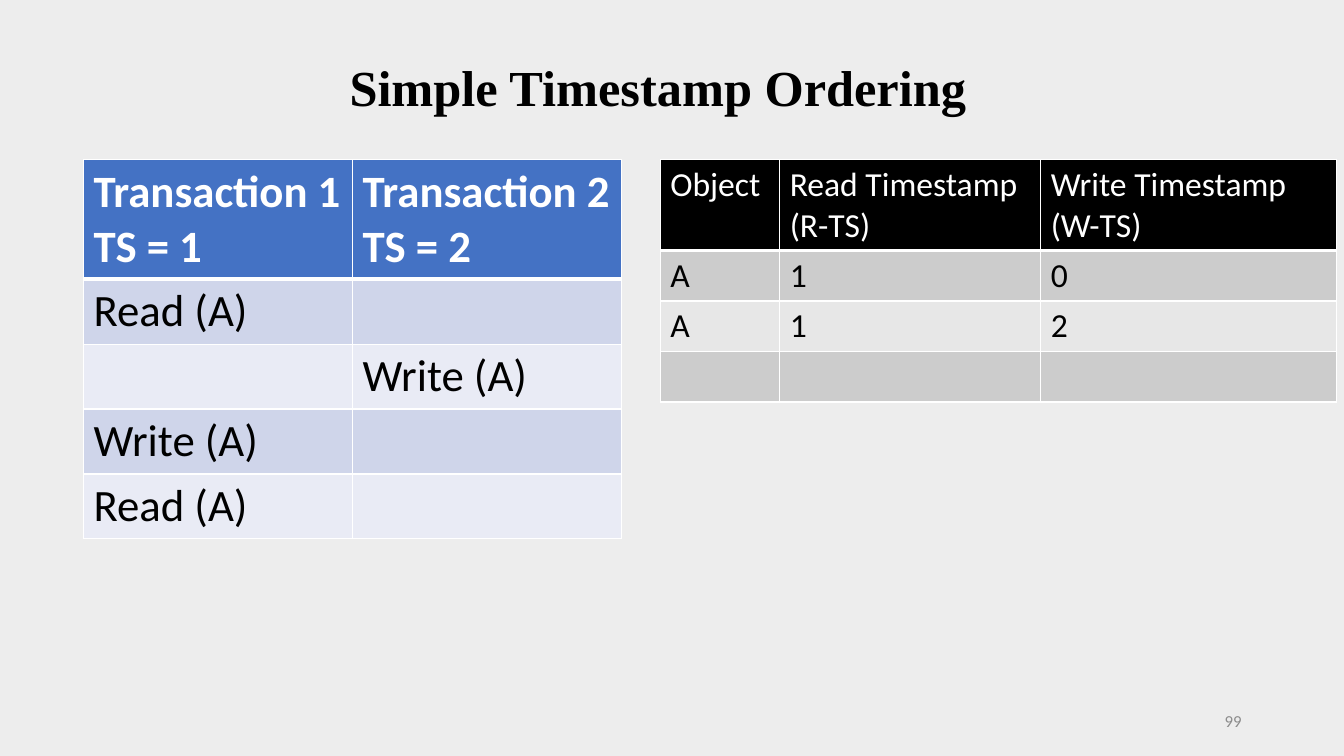
from dataclasses import dataclass

from lxml.etree import SubElement
from pptx import Presentation
from pptx.dml.color import RGBColor
from pptx.enum.text import MSO_ANCHOR, PP_ALIGN
from pptx.oxml.ns import qn
from pptx.util import Pt


@dataclass(frozen=True)
class Theme:
    background: str = "EDEDED"
    black: str = "000000"
    white: str = "FFFFFF"
    muted: str = "8C8C8C"
    schedule_fills: tuple = ("4472C4", "CFD5EA", "E9EBF5")
    timestamp_fills: tuple = ("000000", "CCCCCC", "E7E7E7")
    title_font: str = "Times New Roman"
    body_font: str = "Calibri"
    title_size: int = 36
    schedule_size: int = 32
    timestamp_size: int = 24
    number_size: int = 12


THEME = Theme()

SCHEDULE = [
    ("Transaction 1\nTS = 1", "Transaction 2\nTS = 2"),
    ("Read (A)", ""),
    ("", "Write (A)"),
    ("Write (A)", ""),
    ("Read (A)", ""),
]
TIMESTAMPS = [
    ("Object", "Read Timestamp (R-TS)", "Write Timestamp (W-TS)"),
    ("A", "1", "0"),
    ("A", "1", "2"),
    ("", "", ""),
]


def write(frame, text, size, color=THEME.black, font=THEME.body_font,
          bold=False, align=PP_ALIGN.LEFT):
    frame.text = text
    for paragraph in frame.paragraphs:
        paragraph.alignment = align
        paragraph.font.size = Pt(size)
        for run in paragraph.runs:
            run.font.size = Pt(size)
            run.font.name = font
            run.font.bold = bold
            run.font.color.rgb = RGBColor.from_string(color)


def add_label(slide, text, left, top, width, height, wrap=True,
              anchor=MSO_ANCHOR.TOP, **text_format):
    frame = slide.shapes.add_textbox(
        Pt(left), Pt(top), Pt(width), Pt(height)).text_frame
    frame.word_wrap = wrap
    frame.vertical_anchor = anchor
    write(frame, text, **text_format)


def set_borders(cell, **widths):
    """Draw white cell borders; widths are points keyed by side L, R, T, B."""
    properties = cell._tc.get_or_add_tcPr()
    for side, width in widths.items():
        line = SubElement(properties, qn(f"a:ln{side}"), w=str(Pt(width)))
        fill = SubElement(line, qn("a:solidFill"))
        SubElement(fill, qn("a:srgbClr"), val=THEME.white)


def add_grid(slide, rows, left, top, column_widths, header_height, row_height,
             fills, size, bold_header=False):
    """Add a table with a header row and two alternating body fills."""
    header_fill, *band_fills = fills
    height = header_height + row_height * (len(rows) - 1)
    table = slide.shapes.add_table(
        len(rows), len(column_widths), Pt(left), Pt(top),
        Pt(sum(column_widths)), Pt(height)).table
    for column, width in zip(table.columns, column_widths):
        column.width = Pt(width)
    for index, values in enumerate(rows):
        is_header = index == 0
        table.rows[index].height = Pt(header_height if is_header else row_height)
        fill = header_fill if is_header else band_fills[(index - 1) % 2]
        for cell, value in zip(table.rows[index].cells, values):
            set_borders(cell, L=1, R=1, T=3 if index == 1 else 1,
                        B=3 if is_header else 1)
            cell.fill.solid()
            cell.fill.fore_color.rgb = RGBColor.from_string(fill)
            write(cell.text_frame, value, size=size,
                  color=THEME.white if is_header else THEME.black,
                  bold=is_header and bold_header)


def main():
    presentation = Presentation()
    presentation.slide_width, presentation.slide_height = Pt(960), Pt(540)
    slide = presentation.slides.add_slide(presentation.slide_layouts[6])
    slide.background.fill.solid()
    slide.background.fill.fore_color.rgb = RGBColor.from_string(THEME.background)

    add_grid(slide, SCHEDULE, 59.6, 114, (192.2, 192.2), 85, 46.2,
             THEME.schedule_fills, THEME.schedule_size, bold_header=True)
    add_label(slide, "Simple Timestamp Ordering", 242.6, 36.7, 457, 51,
              wrap=False, size=THEME.title_size, font=THEME.title_font, bold=True)
    add_grid(slide, TIMESTAMPS, 471.6, 114, (85.4, 186.4, 211.4), 65, 36,
             THEME.timestamp_fills, THEME.timestamp_size)
    add_label(slide, "99", 678, 500.5, 216, 28.8, anchor=MSO_ANCHOR.MIDDLE,
              size=THEME.number_size, color=THEME.muted, align=PP_ALIGN.RIGHT)

    presentation.save("out.pptx")


if __name__ == "__main__":
    main()
